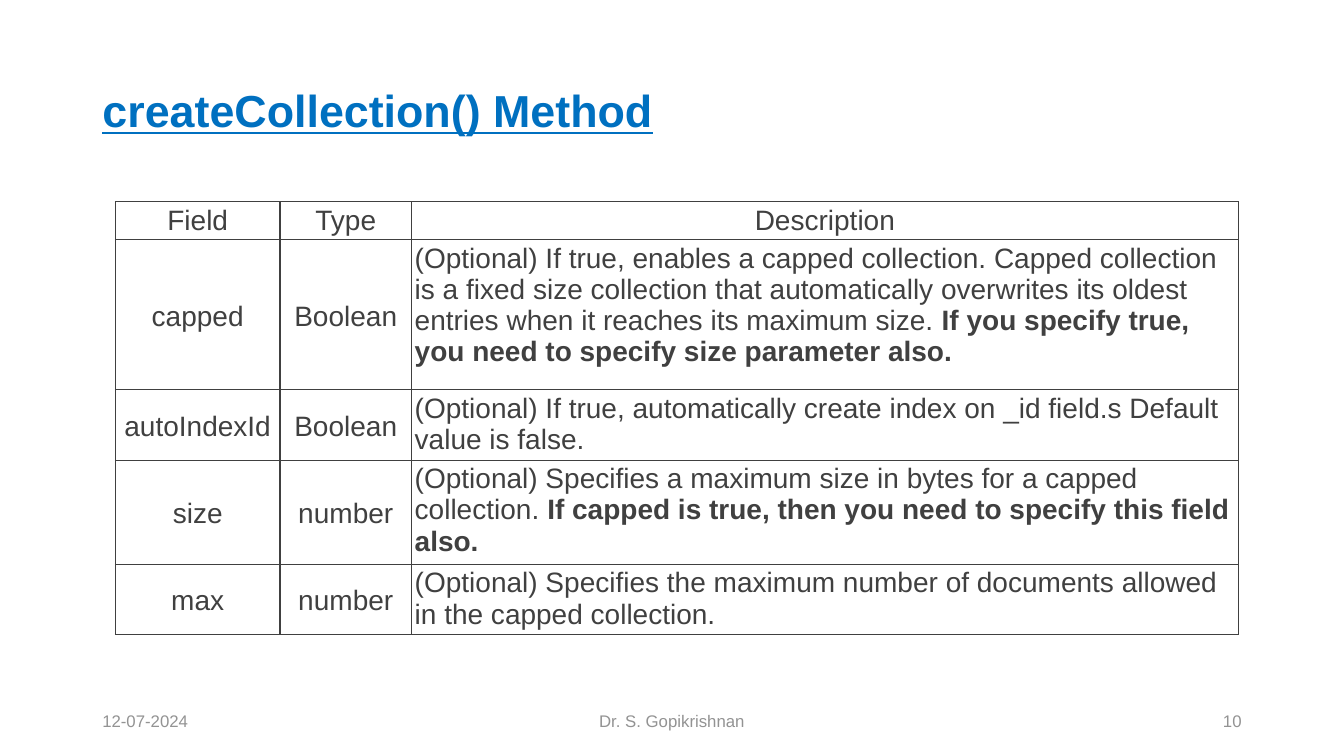
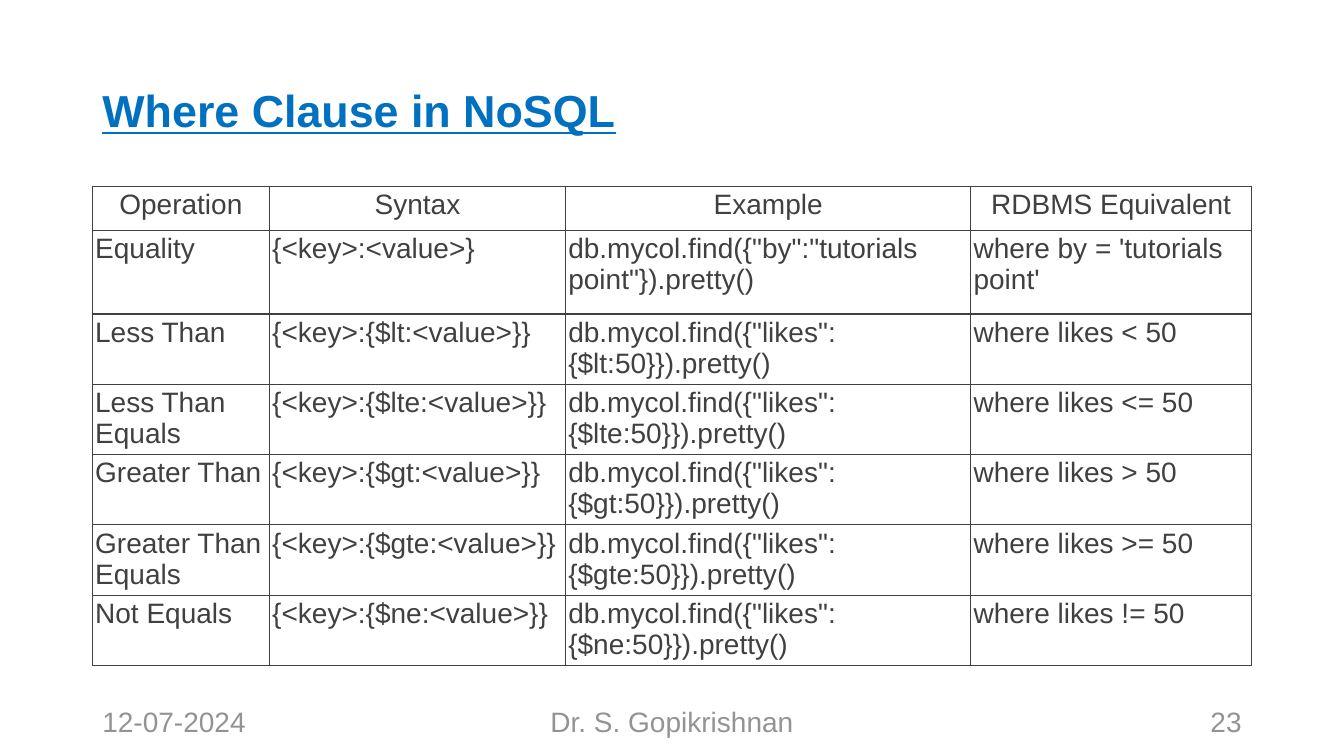
from dataclasses import dataclass
from typing import NamedTuple

from lxml import etree
from pptx import Presentation
from pptx.dml.color import RGBColor
from pptx.enum import text
from pptx.oxml import ns
from pptx.util import Pt

FONT = "Arial"
BLUE = RGBColor(0x00, 0x70, 0xC0)
DARK = RGBColor(0x40, 0x40, 0x40)
GREY = RGBColor(0x93, 0x93, 0x93)

LEFT, CENTER, RIGHT = text.PP_ALIGN.LEFT, text.PP_ALIGN.CENTER, text.PP_ALIGN.RIGHT
TOP, MIDDLE = text.MSO_ANCHOR.TOP, text.MSO_ANCHOR.MIDDLE

SLIDE_W, SLIDE_H = 960, 540
MARGIN = 66
CONTENT_W = SLIDE_W - 2 * MARGIN
FOOTER_TOP, FOOTER_H = 500.5, 28.75
DATE = "12-07-2024"
AUTHOR = "Dr. S. Gopikrishnan"


class Cell(NamedTuple):
    plain: str
    strong: str = ""


@dataclass(frozen=True)
class Grid:
    left: float
    top: float
    widths: tuple[float, ...]
    heights: tuple[float, ...]
    inset: float
    centred_columns: int
    rows: list[list[Cell]]


@dataclass(frozen=True)
class Page:
    title: str
    number: int
    footer_size: int
    grid: Grid


class FooterPart(NamedTuple):
    text: str
    left: float
    width: float
    align: text.PP_ALIGN


def as_cells(*texts: str) -> list[Cell]:
    return [Cell(t) for t in texts]


def comparison(name: str, code: str, symbol: str) -> list[Cell]:
    return as_cells(
        name,
        f"{{<key>:{{${code}:<value>}}}}",
        f'db.mycol.find({{"likes":{{${code}:50}}}}).pretty()',
        f"where likes {symbol} 50",
    )


OPTIONS = Grid(
    left=82.5,
    top=144,
    widths=(117.5, 94, 590.5),
    heights=(27.25, 107.25, 50.25, 71.5, 50.25),
    inset=2.25,
    centred_columns=2,
    rows=[
        as_cells("Field", "Type", "Description"),
        [
            Cell("capped"),
            Cell("Boolean"),
            Cell(
                "(Optional) If true, enables a capped collection. Capped collection is a "
                "fixed size collection that automatically overwrites its oldest entries "
                "when it reaches its maximum size. ",
                "If you specify true, you need to specify size parameter also.",
            ),
        ],
        as_cells(
            "autoIndexId",
            "Boolean",
            "(Optional) If true, automatically create index on _id field.s "
            "Default value is false.",
        ),
        [
            Cell("size"),
            Cell("number"),
            Cell(
                "(Optional) Specifies a maximum size in bytes for a capped collection. ",
                "If capped is true, then you need to specify this field also.",
            ),
        ],
        as_cells(
            "max",
            "number",
            "(Optional) Specifies the maximum number of documents allowed "
            "in the capped collection.",
        ),
    ],
)

OPERATORS = Grid(
    left=MARGIN,
    top=133,
    widths=(126.5, 211.5, 289.5, 200.5),
    heights=(31.5, 59.75) + (50.25,) * 5,
    inset=2,
    centred_columns=0,
    rows=[
        as_cells("Operation", "Syntax", "Example", "RDBMS Equivalent"),
        as_cells(
            "Equality",
            "{<key>:<value>}",
            'db.mycol.find({"by":"tutorials point"}).pretty()',
            "where by = 'tutorials point'",
        ),
        comparison("Less Than", "lt", "<"),
        comparison("Less Than Equals", "lte", "<="),
        comparison("Greater Than", "gt", ">"),
        comparison("Greater Than Equals", "gte", ">="),
        comparison("Not Equals", "ne", "!="),
    ],
)

PAGES = [
    Page("createCollection() Method", 10, 12, OPTIONS),
    Page("Where Clause in NoSQL", 23, 20, OPERATORS),
]


def style_font(font, size: float, color: RGBColor, bold: bool = False) -> None:
    font.name = FONT
    font.size = Pt(size)
    font.bold = bold
    font.color.rgb = color


def add_title(s, title: str) -> None:
    sp = s.shapes.title
    sp.left, sp.top, sp.width, sp.height = Pt(MARGIN), Pt(28.75), Pt(CONTENT_W), Pt(104.5)
    tf = sp.text_frame
    tf.text = title
    tf.word_wrap = True
    tf.auto_size = text.MSO_AUTO_SIZE.NONE
    tf.vertical_anchor = MIDDLE
    p = tf.paragraphs[0]
    p.alignment = LEFT
    p.line_spacing = 0.9
    r = p.runs[0]
    style_font(r.font, 32, BLUE, bold=True)
    r.font.underline = True


def add_footer(s, number: int, size: int) -> None:
    side_w, middle_w = 216, 324
    parts = [
        FooterPart(DATE, MARGIN, side_w, LEFT),
        FooterPart(AUTHOR, (SLIDE_W - middle_w) / 2, middle_w, CENTER),
        FooterPart(str(number), SLIDE_W - MARGIN - side_w, side_w, RIGHT),
    ]
    for part in parts:
        sp = s.shapes.add_textbox(Pt(part.left), Pt(FOOTER_TOP), Pt(part.width), Pt(FOOTER_H))
        tf = sp.text_frame
        tf.text = part.text
        tf.word_wrap = True
        tf.vertical_anchor = MIDDLE
        p = tf.paragraphs[0]
        p.alignment = part.align
        style_font(p.runs[0].font, size, GREY)


def set_borders(cell, color: RGBColor, width: float) -> None:
    tc_pr = cell._tc.get_or_add_tcPr()
    for i, side in enumerate(("lnL", "lnR", "lnT", "lnB")):
        ln = etree.Element(ns.qn(f"a:{side}"), w=str(Pt(width)))
        fill = etree.SubElement(ln, ns.qn("a:solidFill"))
        etree.SubElement(fill, ns.qn("a:srgbClr"), val=str(color))
        tc_pr.insert(i, ln)


def fill_cell(cell, content: Cell, inset: float, align, anchor) -> None:
    cell.fill.background()
    set_borders(cell, DARK, 1)
    cell.margin_left = cell.margin_right = cell.margin_top = Pt(inset)
    cell.margin_bottom = 0
    cell.vertical_anchor = anchor
    p = cell.text_frame.paragraphs[0]
    p.alignment = align
    for value, bold in ((content.plain, False), (content.strong, True)):
        if value:
            r = p.add_run()
            r.text = value
            style_font(r.font, 20, DARK, bold)


def add_grid(s, grid: Grid) -> None:
    frame = s.shapes.add_table(
        len(grid.heights), len(grid.widths),
        Pt(grid.left), Pt(grid.top), Pt(sum(grid.widths)), Pt(sum(grid.heights)),
    )
    table = frame.table
    table.first_row = table.horz_banding = False
    for column, width in zip(table.columns, grid.widths):
        column.width = Pt(width)
    for row, height in zip(table.rows, grid.heights):
        row.height = Pt(height)
    for i, row in enumerate(grid.rows):
        for j, content in enumerate(row):
            label = i > 0 and j < grid.centred_columns
            align = CENTER if i == 0 or label else LEFT
            anchor = MIDDLE if label else TOP
            fill_cell(table.cell(i, j), content, grid.inset, align, anchor)


def main() -> None:
    prs = Presentation()
    prs.slide_width, prs.slide_height = Pt(SLIDE_W), Pt(SLIDE_H)
    layout = prs.slide_layouts.get_by_name("Title Only")
    for page in PAGES:
        s = prs.slides.add_slide(layout)
        add_title(s, page.title)
        add_footer(s, page.number, page.footer_size)
        add_grid(s, page.grid)
    prs.save("out.pptx")


if __name__ == "__main__":
    main()
